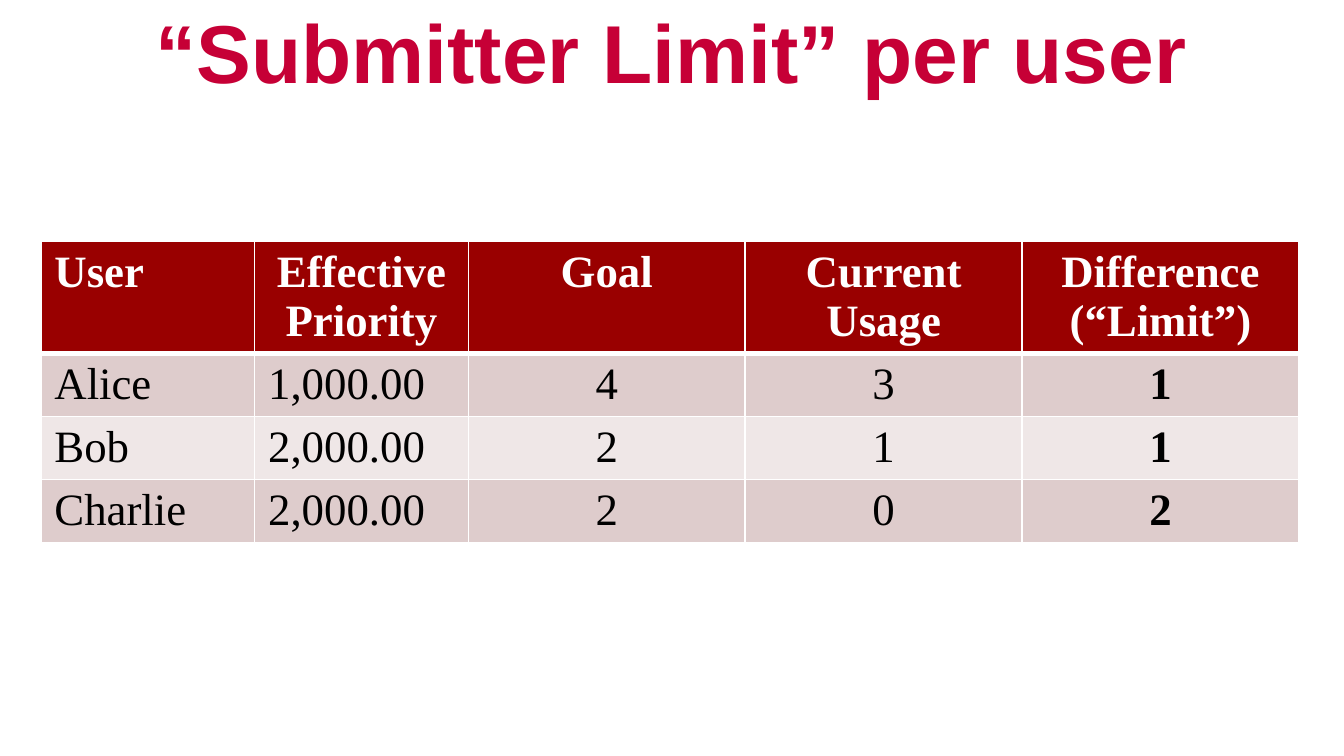
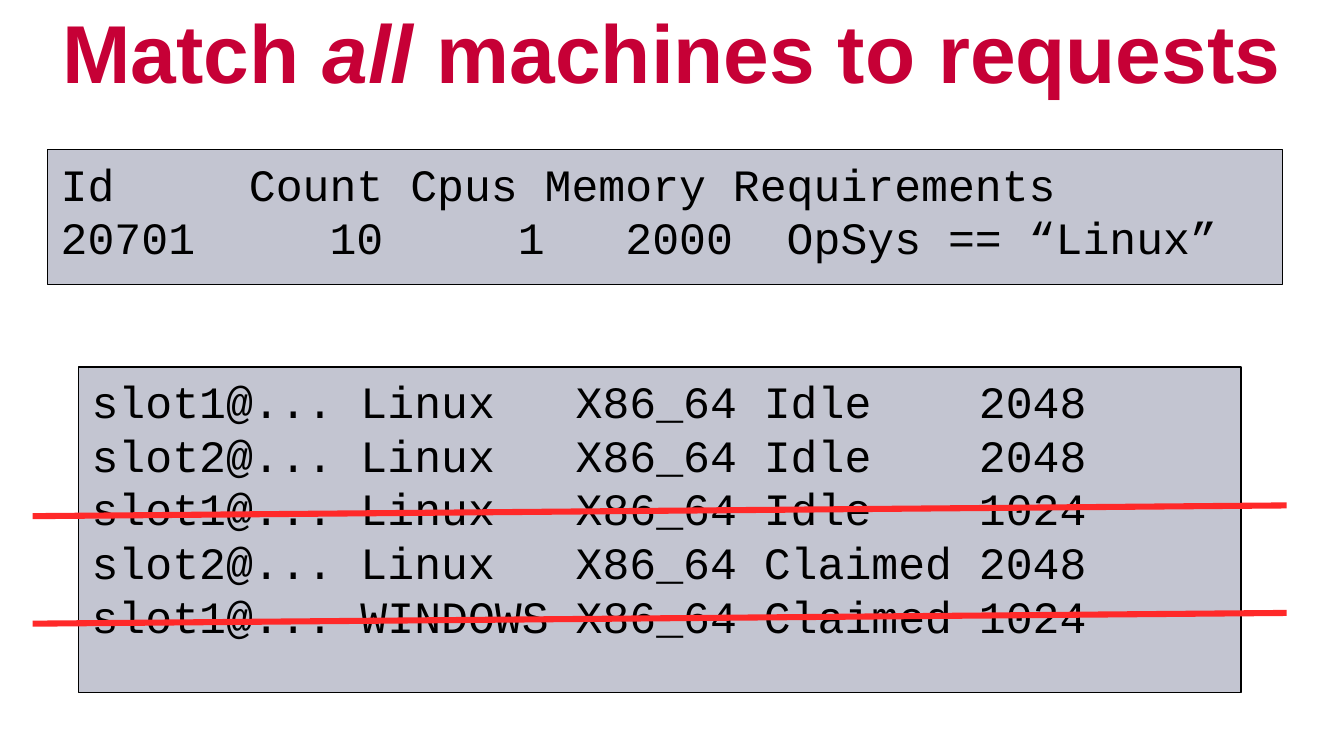
from collections import namedtuple

from lxml import etree
from pptx import Presentation
from pptx import util as u
from pptx.dml.color import RGBColor
from pptx.enum import shapes, text
from pptx.oxml import ns

Box = namedtuple("Box", "x y w h")


class Theme:
    title_color, header, band_dark, band_light = "C60036", "990000", "DECCCC", "EFE7E7"
    panel, strike, ink, paper = "C3C5D1", "FF2929", "000000", "FFFFFF"
    title_font, table_font, code_font = "Arial", "Times New Roman", "Courier New"
    title_size, body_size = 44, 24
    line_pitch = 28.8  # points between lines of code


SLIDE_W = u.Inches(10)
SLIDE_H = SLIDE_W * 9 // 16
COL, ROW = SLIDE_W / 100, SLIDE_H / 100  # the slide is a grid of 100 by 100


def grid(x, y, w, h):
    return Box(round(x * COL), round(y * ROW), round(w * COL), round(h * ROW))


def rgb(color):
    return RGBColor.from_string(color)


def style(p, font, size, color, bold=False):
    for r in p.runs:
        r.font.name, r.font.size, r.font.bold = font, u.Pt(size), bold
        r.font.color.rgb = rgb(color)


def add_titled_slide(prs, parts):
    """Add a title-only slide; parts are (wording, italic) pairs."""
    s = prs.slides.add_slide(prs.slide_layouts[5])
    title = s.shapes.title
    title.left, title.top, title.width, title.height = grid(0, 0, 100, 13.33)
    tf = title.text_frame
    tf.vertical_anchor = text.MSO_ANCHOR.MIDDLE
    p = tf.paragraphs[0]
    p.alignment = text.PP_ALIGN.CENTER
    for wording, italic in parts:
        r = p.add_run()
        r.text = wording
        r.font.italic = italic
    style(p, Theme.title_font, Theme.title_size, Theme.title_color, True)
    return s


def set_borders(cell, **widths):
    tc_pr = cell._tc.get_or_add_tcPr()
    for side in "LRTB":
        ln = etree.SubElement(tc_pr, ns.qn(f"a:ln{side}"), w=str(u.Pt(widths.get(side, 1))))
        fill = etree.SubElement(ln, ns.qn("a:solidFill"))
        etree.SubElement(fill, ns.qn("a:srgbClr"), val=Theme.paper)


def add_limit_table(s, box, rows, col_widths):
    frame = s.shapes.add_table(len(rows), len(col_widths), *box)
    table = frame.table
    for col, width in zip(table.columns, col_widths):
        col.width = round(width * COL)
    for i, row in enumerate(rows):
        table.rows[i].height = u.Inches(0.41)
        header = i == 0
        fill = Theme.header if header else (Theme.band_light, Theme.band_dark)[i % 2]
        for j, value in enumerate(row):
            cell = table.cell(i, j)
            set_borders(cell, B=3 if header else 1, T=3 if i == 1 else 1)
            cell.fill.solid()
            cell.fill.fore_color.rgb = rgb(fill)
            cell.text_frame.text = value
            centred = j > 1 or (header and j == 1)
            for p in cell.text_frame.paragraphs:
                p.alignment = text.PP_ALIGN.CENTER if centred else text.PP_ALIGN.LEFT
                style(p, Theme.table_font, Theme.body_size,
                      Theme.paper if header else Theme.ink,
                      header or j == len(row) - 1)
    frame.height = box.h


def add_code_panel(s, box, lines):
    sp = s.shapes.add_shape(shapes.MSO_SHAPE.RECTANGLE, *box)
    sp.shadow.inherit = False
    sp.fill.solid()
    sp.fill.fore_color.rgb = rgb(Theme.panel)
    sp.line.color.rgb = rgb(Theme.ink)
    sp.line.width = u.Pt(0.75)
    tf = sp.text_frame
    tf.word_wrap = True
    tf.vertical_anchor = text.MSO_ANCHOR.TOP
    tf.text = "\n".join(lines)
    for p in tf.paragraphs:
        p.alignment = text.PP_ALIGN.LEFT
        p.line_spacing = u.Pt(Theme.line_pitch)
        style(p, Theme.code_font, Theme.body_size, Theme.ink)


def strike_line(s, box, index):
    """Cross out one code line of the panel with a slightly rising stroke."""
    overhang, rise = u.Inches(0.34), u.Inches(0.08)
    y = box.y + u.Inches(0.31) + index * u.Pt(Theme.line_pitch)
    line = s.shapes.add_connector(shapes.MSO_CONNECTOR.STRAIGHT, box.x - overhang, y,
                                  box.x + box.w + overhang, y - rise)
    line.line.color.rgb = rgb(Theme.strike)
    line.line.width = u.Pt(3.25)
    etree.SubElement(line._element.spPr, ns.qn("a:effectLst"))


def build_limit_slide(prs):
    s = add_titled_slide(prs, [("“Submitter Limit” per user", False)])
    rows = [
        ("User", "Effective\nPriority", "Goal", "Current\nUsage", "Difference\n(“Limit”)"),
        ("Alice", "1,000.00", "4", "3", "1"),
        ("Bob", "2,000.00", "2", "1", "1"),
        ("Charlie", "2,000.00", "2", "0", "2"),
    ]
    add_limit_table(s, grid(3.05, 31.85, 93.7, 42.67), rows, [15.9] * 2 + [20.6] * 3)


def build_match_slide(prs):
    s = add_titled_slide(prs, [("Match ", False), ("all", True),
                               (" machines to requests", False)])
    # Job request
    add_code_panel(s, grid(3.53, 19.8, 91.9, 17.8), [
        "Id     Count Cpus Memory Requirements",
        "20701     10     1   2000  OpSys == “Linux”",
    ])
    # Machine slots, with the ones that do not match crossed out
    slots = grid(5.83, 48.55, 86.5, 43.05)
    add_code_panel(s, slots, [
        "slot1@... Linux   X86_64 Idle    2048",
        "slot2@... Linux   X86_64 Idle    2048",
        "slot1@... Linux   X86_64 Idle    1024",
        "slot2@... Linux   X86_64 Claimed 2048",
        "slot1@... WINDOWS X86_64 Claimed 1024",
    ])
    for index in (2, 4):
        strike_line(s, slots, index)


def main():
    prs = Presentation()
    prs.slide_width, prs.slide_height = SLIDE_W, SLIDE_H
    build_limit_slide(prs)
    build_match_slide(prs)
    prs.save("out.pptx")


if __name__ == "__main__":
    main()
